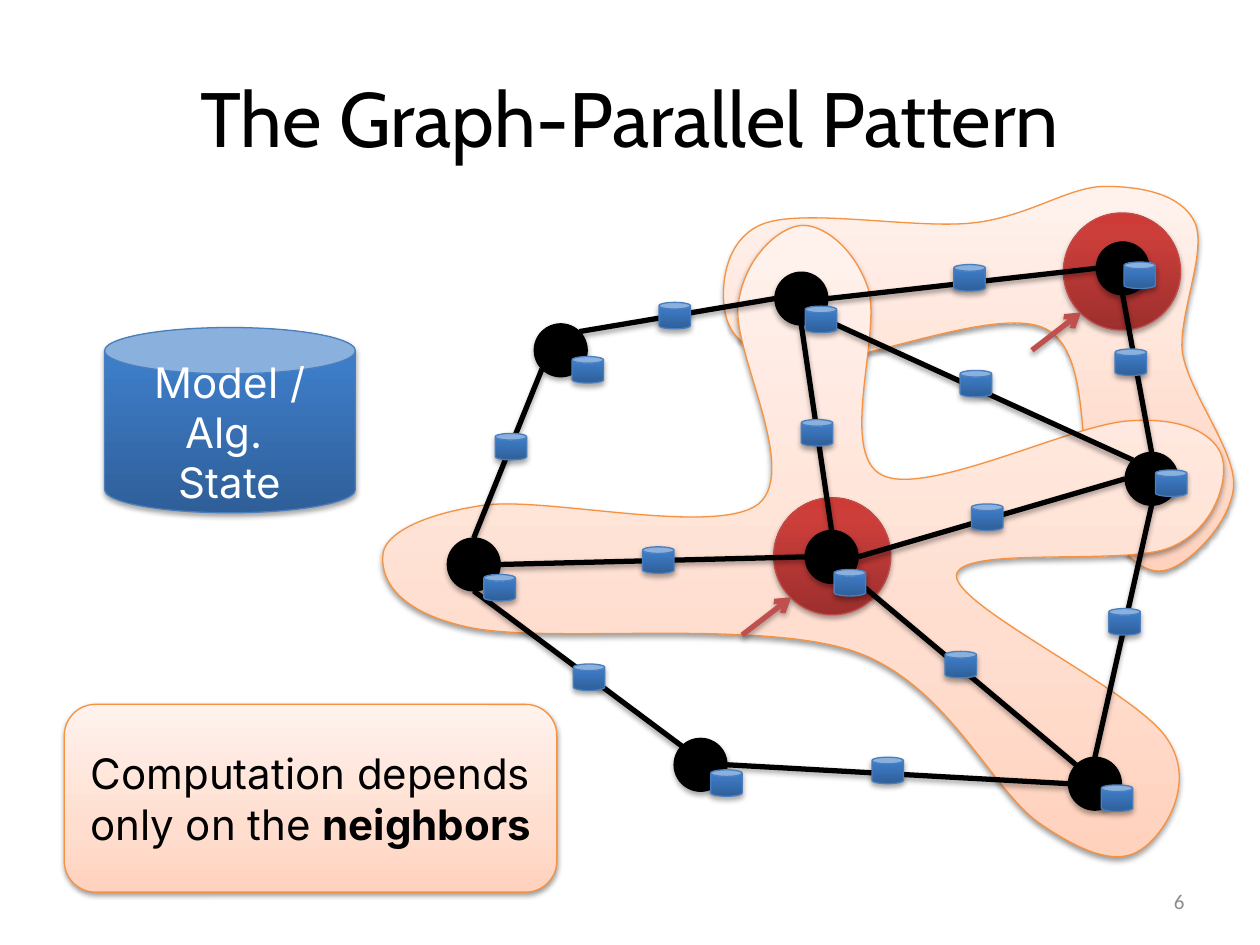
from math import cos, radians, sin

from lxml import etree
from pptx import Presentation
from pptx.dml.color import RGBColor
from pptx.enum.shapes import MSO_CONNECTOR, MSO_SHAPE
from pptx.enum.text import MSO_ANCHOR, PP_ALIGN
from pptx.oxml import parse_xml
from pptx.oxml.ns import nsdecls, qn
from pptx.util import Inches, Pt

OVAL, CAN, ROUND = MSO_SHAPE.OVAL, MSO_SHAPE.CAN, MSO_SHAPE.ROUNDED_RECTANGLE
STRAIGHT, MIDDLE = MSO_CONNECTOR.STRAIGHT, MSO_ANCHOR.MIDDLE
CENTER, RIGHT = PP_ALIGN.CENTER, PP_ALIGN.RIGHT

COLORS = {"black": "000000", "white": "FFFFFF", "gray": "8C8C8C", "arrow": "C0504D",
          "peach_line": "F69240", "red_line": "BF4C48", "blue_line": "4B7EBC"}
GRADIENTS = {
    "peach": [(0, "FFD2BD"), (35, "FFDED0"), (100, "FFF2ED")],
    "red": [(0, "9C2F2D"), (80, "CB3E3A"), (100, "CE3B37")],
    "blue": [(0, "2F5F99"), (80, "3D7CC7"), (100, "3A7CCB")],
}

# Content
TITLE = "The Graph-Parallel Pattern"
STATE = [[("Model / Alg. ", False)], [("State", False)]]
NOTE = [[("Computation depends only on the ", False), ("neighbors", True)]]

# Graph: vertex -> (top left, top left of its data)
NODE, DATA, HALO = 0.42, (0.25, 0.21), 0.93
VERTICES = {
    "right": ((8.93, 3.59), (9.17, 3.73)),
    "left": ((3.55, 4.27), (3.84, 4.56)),
    "top": ((6.15, 2.16), (6.39, 2.43)),
    "center": ((6.39, 4.21), (6.62, 4.52)),
    "low_right": ((8.48, 6.01), (8.74, 6.23)),
    "top_left": ((4.24, 2.57), (4.54, 2.83)),
    "bottom": ((5.35, 5.86), (5.64, 6.11)),
    "top_right": ((8.70, 1.92), (8.92, 2.08)),
}
# Edge: vertex, angle of its end, vertex, angle of its end, top left of its data
EDGES = [
    ("center", 270, "top", 90, (6.36, 3.33)),
    ("left", 0, "center", 180, (5.10, 4.34)),
    ("center", 0, "right", 180, (7.71, 4.00)),
    ("center", 45, "low_right", 225, (7.50, 5.17)),
    ("bottom", 0, "low_right", 180, (6.92, 6.01)),
    ("top", 180, "top_left", 315, (5.23, 2.40)),
    ("bottom", 225, "left", 90, (4.55, 5.27)),
    ("top_left", 135, "left", 270, (3.93, 3.44)),
    ("low_right", 270, "right", 90, (8.80, 4.83)),
    ("top", 45, "right", 225, (7.62, 2.94)),
    ("top_right", 180, "top", 0, (7.57, 2.10)),
    ("top_right", 90, "right", 270, (8.85, 2.77)),
]
# Neighborhoods: box, start point, then curves of two control points and an end
NEIGHBORHOODS = [
    {"halo": (8.44, 1.69), "arrow": ((8.19, 2.78), (8.58, 2.48)),
     "box": (5.74, 1.48, 4.05, 3.06), "start": (8.77, 1.48),
     "curves": [(8.48, 1.48, 8.17, 1.72, 7.72, 1.77), (7.26, 1.82, 6.37, 1.65, 6.05, 1.78),
                (5.72, 1.91, 5.71, 2.36, 5.77, 2.54), (5.83, 2.72, 6.01, 2.85, 6.43, 2.87),
                (6.85, 2.88, 7.92, 2.42, 8.3, 2.61), (8.68, 2.8, 8.54, 3.7, 8.69, 4.02),
                (8.85, 4.34, 9.05, 4.56, 9.23, 4.53), (9.41, 4.51, 9.77, 4.16, 9.79, 3.86),
                (9.81, 3.56, 9.38, 3.05, 9.38, 2.74), (9.38, 2.43, 9.58, 1.97, 9.48, 1.76),
                (9.37, 1.54, 9.06, 1.48, 8.77, 1.48)]},
    {"halo": (6.14, 3.95), "arrow": ((5.89, 5.04), (6.28, 4.74)),
     "box": (3.03, 1.79, 6.68, 5.01), "start": (6.02, 4.0),
     "curves": [(6.35, 3.73, 5.8, 2.77, 5.86, 2.41), (5.91, 2.04, 6.18, 1.81, 6.35, 1.79),
                (6.52, 1.77, 6.78, 1.96, 6.89, 2.29), (7, 2.63, 6.65, 3.6, 7, 3.77),
                (7.35, 3.95, 8.52, 3.36, 8.97, 3.34), (9.42, 3.31, 9.65, 3.46, 9.7, 3.63),
                (9.75, 3.8, 9.65, 4.19, 9.3, 4.34), (8.95, 4.5, 7.6, 4.32, 7.59, 4.57),
                (7.59, 4.82, 9.02, 5.49, 9.26, 5.86), (9.51, 6.22, 9.23, 6.63, 9.06, 6.74),
                (8.89, 6.86, 8.64, 6.8, 8.26, 6.54), (7.87, 6.28, 7.53, 5.43, 6.78, 5.17),
                (6.02, 4.91, 4.35, 5.11, 3.73, 4.98), (3.11, 4.85, 3.02, 4.56, 3.04, 4.4),
                (3.05, 4.24, 3.35, 4.08, 3.84, 4.01), (4.34, 3.94, 5.68, 4.26, 6.02, 4)]},
]

prs = Presentation()
prs.slide_width, prs.slide_height = Inches(10), Inches(7.5)
slide = prs.slides.add_slide(prs.slide_layouts[5])
shapes = slide.shapes


def rgb(name):
    return RGBColor.from_string(COLORS[name])


def add_shadow(sp, alpha=35, dist=1.8):
    props = sp._element.spPr
    for old in props.findall(qn("a:effectLst")):
        props.remove(old)
    props.append(parse_xml(
        f'<a:effectLst {nsdecls("a")}><a:outerShdw blurRad="{Pt(3.1)}" dist="{Pt(dist)}" '
        f'dir="5400000" rotWithShape="0"><a:srgbClr val="000000">'
        f'<a:alpha val="{alpha * 1000}"/></a:srgbClr></a:outerShdw></a:effectLst>'))


def style(sp, fill):
    """Fill, outline and shadow of one family of shapes."""
    if fill in GRADIENTS:
        sp.fill.gradient()
        sp.fill.gradient_angle = 90
        stops = sp._element.spPr.find(qn("a:gradFill")).find(qn("a:gsLst"))
        for stop in list(stops):
            stops.remove(stop)
        for pos, color in GRADIENTS[fill]:
            stop = etree.SubElement(stops, qn("a:gs"), pos=str(pos * 1000))
            etree.SubElement(stop, qn("a:srgbClr"), val=color)
        sp.line.color.rgb = rgb(fill + "_line")
    else:
        sp.fill.solid()
        sp.fill.fore_color.rgb = rgb(fill)
        sp.line.color.rgb = rgb(fill)
    sp.line.width = Pt(0.75)
    add_shadow(sp, *((38, 1.6) if fill == "peach" else ()))
    return sp


def add_shape(kind, at, size, fill):
    return style(shapes.add_shape(kind, *map(Inches, (*at, *size))), fill)


def add_line(start, end, color, arrow=False):
    line = shapes.add_connector(STRAIGHT, *map(Inches, (*start, *end)))
    line.line.color.rgb = rgb(color)
    line.line.width = Pt(3)
    if arrow:
        etree.SubElement(line.line._get_or_add_ln(), qn("a:tailEnd"), type="arrow")
    add_shadow(line)


def add_blob(box, start, curves):
    """A closed freeform whose segments are Bezier curves."""
    builder = shapes.build_freeform(*map(Inches, start))
    builder.add_line_segments([tuple(map(Inches, c[4:])) for c in curves], close=True)
    sp = builder.convert_to_shape()
    sp.left, sp.top, sp.width, sp.height = map(Inches, box)
    outline = next(sp._element.iter(qn("a:path")))
    outline.set("w", str(sp.width))
    outline.set("h", str(sp.height))
    for step in list(outline):
        outline.remove(step)
    for tag, coords in [("a:moveTo", start)] + [("a:cubicBezTo", c) for c in curves]:
        step = etree.SubElement(outline, qn(tag))
        for x, y in zip(coords[::2], coords[1::2]):
            etree.SubElement(step, qn("a:pt"), x=str(Inches(x) - sp.left),
                             y=str(Inches(y) - sp.top))
    etree.SubElement(outline, qn("a:close"))
    style(sp, "peach")


def set_text(sp, paragraphs, size=24, font="Inter", color="black", align=CENTER):
    tf = sp.text_frame
    tf.word_wrap = True
    tf.vertical_anchor = MIDDLE
    for i, runs in enumerate(paragraphs):
        p = tf.add_paragraph() if i else tf.paragraphs[0]
        p.alignment = align
        for text, bold in runs:
            r = p.add_run()
            r.text = text
            r.font.size, r.font.name, r.font.bold = Pt(size), font, bold
            r.font.color.rgb = rgb(color)


def edge_end(vertex, angle):
    x, y = VERTICES[vertex][0]
    r, a = NODE / 2, radians(angle)
    return x + r + r * cos(a), y + r + r * sin(a)


# Title and page number
title = shapes.title
title.left, title.top, title.width, title.height = map(Inches, (0.5, 0.3, 9, 1.25))
set_text(title, [[(TITLE, False)]], size=44, font="Cabin")
number = shapes.add_textbox(*map(Inches, (7.17, 6.95, 2.33, 0.4)))
set_text(number, [[("6", False)]], size=12, font="Calibri", color="gray", align=RIGHT)

# Neighborhoods with their active vertices
for hood in NEIGHBORHOODS:
    add_blob(hood["box"], hood["start"], hood["curves"])
    add_shape(OVAL, hood["halo"], (HALO, HALO), "red")
    add_line(*hood["arrow"], "arrow", arrow=True)

# Graph: edges, vertices, then the data on both
for v1, angle1, v2, angle2, _ in EDGES:
    add_line(edge_end(v1, angle1), edge_end(v2, angle2), "black")
for at, _ in VERTICES.values():
    add_shape(OVAL, at, (NODE, NODE), "black")
for at in [v[1] for v in VERTICES.values()] + [e[4] for e in EDGES]:
    add_shape(CAN, at, DATA, "blue")

# State and note
set_text(add_shape(CAN, (0.83, 2.6), (1.99, 1.47), "blue"), STATE, color="white")
set_text(add_shape(ROUND, (0.51, 5.59), (3.91, 1.49), "peach"), NOTE)

prs.save("out.pptx")
